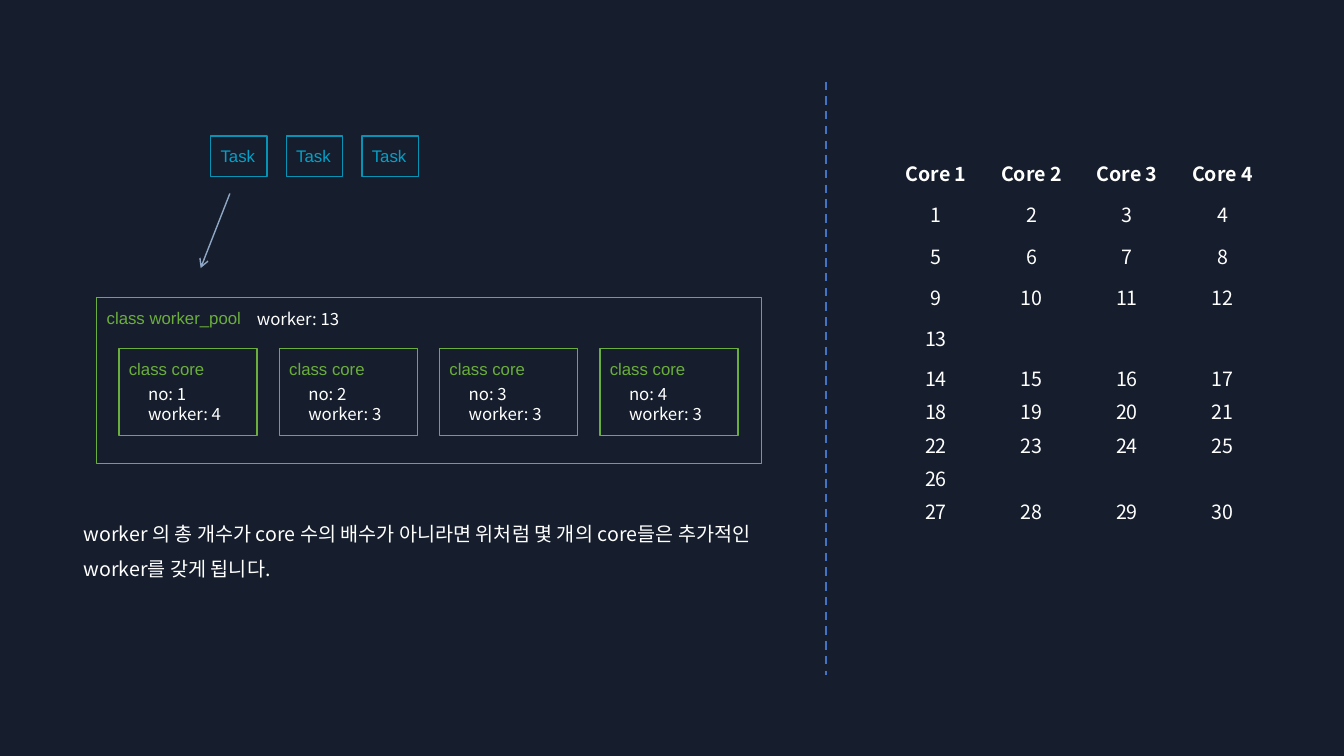
from lxml import etree
from pptx import Presentation
from pptx.dml.color import RGBColor
from pptx.enum import dml, shapes, text
from pptx.oxml.ns import qn
from pptx.util import Inches, Pt

NAVY = RGBColor(0x16, 0x1E, 0x2D)
GREEN = RGBColor(0x6B, 0xAE, 0x3D)
TASK_LINE = RGBColor(0x07, 0x92, 0xB6)
TASK_TEXT = RGBColor(0x04, 0xA0, 0xC7)
ARROW = RGBColor(0x8F, 0xA7, 0xC4)
DIVIDER = RGBColor(0x44, 0x72, 0xC4)
WHITE = RGBColor(0xFF, 0xFF, 0xFF)
LABEL_FONT = "Arial"
BODY_FONT = "Noto Sans CJK KR"
NO_GRID_STYLE = "{2D5ABB26-0587-4C30-8999-92F81FD0307C}"

CORE_COUNT = 4
WORKER_COUNT = 13
LAST_WORKER = 30


def add_run(paragraph, words, size, color, font=BODY_FONT, bold=False):
    run = paragraph.add_run()
    run.text = words
    run.font.size = Pt(size)
    run.font.name = font
    run.font.bold = bold
    run.font.color.rgb = color
    east_asian = etree.SubElement(run._r.get_or_add_rPr(), qn("a:ea"))
    east_asian.set("typeface", font)


def labelled_box(parent, label, left, top, width, height, line, color):
    box = parent.add_shape(shapes.MSO_SHAPE.RECTANGLE, Inches(left), Inches(top),
                           Inches(width), Inches(height))
    box.shadow.inherit = False
    box.fill.background()
    box.line.color.rgb = line
    box.line.width = Pt(1)
    frame = box.text_frame
    frame.margin_left = frame.margin_right = frame.margin_top = Inches(0.1)
    frame.margin_bottom = Inches(0.05)
    frame.vertical_anchor = text.MSO_ANCHOR.TOP
    frame.word_wrap = True
    frame.paragraphs[0].alignment = text.PP_ALIGN.LEFT
    add_run(frame.paragraphs[0], label, 12, color, LABEL_FONT)


def note(parent, lines, left, top, width, height):
    frame = parent.add_textbox(Inches(left), Inches(top),
                               Inches(width), Inches(height)).text_frame
    frame.word_wrap = True
    for i, words in enumerate(lines):
        paragraph = frame.add_paragraph() if i else frame.paragraphs[0]
        add_run(paragraph, words, 12, WHITE)


def straight_line(slide, start, end, color, width):
    line = slide.shapes.add_connector(
        shapes.MSO_CONNECTOR.STRAIGHT, *map(Inches, start + end))
    line.line.color.rgb = color
    line.line.width = Pt(width)
    etree.SubElement(line._element.spPr, qn("a:effectLst"))
    return line


def task_queue(slide, left, top):
    for i in range(3):
        labelled_box(slide.shapes, "Task", left + 0.75 * i, top, 0.56, 0.4,
                     TASK_LINE, TASK_TEXT)
    # Arrow from the tasks to the pool
    arrow = straight_line(slide, (left + 0.19, top + 0.57),
                          (left - 0.1, top + 1.31), ARROW, 1)
    etree.SubElement(arrow.line._get_or_add_ln(), qn("a:tailEnd")).set("type", "arrow")


def worker_pool(slide, left, top, width, height):
    labelled_box(slide.shapes, "class worker_pool", left, top, width, height, GREEN, GREEN)
    note(slide.shapes, [f"worker: {WORKER_COUNT}"], left + 1.49, top + 0.06, 1.11, 0.3)
    # One group per core; the first cores take the remainder
    share, extra = divmod(WORKER_COUNT, CORE_COUNT)
    for i in range(CORE_COUNT):
        core = slide.shapes.add_group_shape().shapes
        core_left, core_top = left + 0.22 + 1.59 * i, top + 0.51
        labelled_box(core, "class core", core_left, core_top, 1.37, 0.86, GREEN, GREEN)
        note(core, [f"no: {i + 1}", f"worker: {share + (i < extra)}"],
             core_left + 0.19, core_top + 0.3, 1.11, 0.5)


def explanation(slide, left, top, width, height):
    body = slide.placeholders[1]
    body.left, body.top = Inches(left), Inches(top)
    body.width, body.height = Inches(width), Inches(height)
    frame = body.text_frame
    frame.auto_size = text.MSO_AUTO_SIZE.NONE
    frame.word_wrap = True
    lines = ["worker 의 총 개수가 core 수의 배수가 아니라면 위처럼 몇 개의 core들은 추가적인",
             "worker를 갖게 됩니다."]
    for i, words in enumerate(lines):
        paragraph = frame.add_paragraph() if i else frame.paragraphs[0]
        properties = paragraph._p.get_or_add_pPr()
        properties.set("marL", "0")
        properties.set("indent", "0")
        etree.SubElement(properties, qn("a:buNone"))
        paragraph.line_spacing = 0.9
        paragraph.space_before = Pt(10 if i else 0)
        add_run(paragraph, words, 14, WHITE)


def schedule_rows():
    """Each round of workers fills the cores, the last row holding the remainder."""
    rows = [[f"Core {i + 1}" for i in range(CORE_COUNT)]]
    for first in range(1, LAST_WORKER + 1, WORKER_COUNT):
        last = min(first + WORKER_COUNT - 1, LAST_WORKER)
        for start in range(first, last + 1, CORE_COUNT):
            rows.append([str(n) if n <= last else ""
                         for n in range(start, start + CORE_COUNT)])
    return rows


def core_schedule(slide, left, top, width, height):
    rows = schedule_rows()
    table = slide.shapes.add_table(len(rows), CORE_COUNT, Inches(left), Inches(top),
                                   Inches(width), Inches(height)).table
    table.first_row = table.horz_banding = False
    table._tbl.tblPr.find(qn("a:tableStyleId")).text = NO_GRID_STYLE
    for r, values in enumerate(rows):
        first_round = r < 5
        table.rows[r].height = Inches(0.41 if first_round else 0.33)
        for c, value in enumerate(values):
            cell = table.cell(r, c)
            cell.fill.background()
            cell.vertical_anchor = text.MSO_ANCHOR.MIDDLE
            cell.margin_top = Inches(0 if first_round else 0.05)
            cell.margin_bottom = 0
            paragraph = cell.text_frame.paragraphs[0]
            paragraph.alignment = text.PP_ALIGN.CENTER
            if value:
                add_run(paragraph, value, 14, WHITE, bold=r == 0)
            else:
                etree.SubElement(paragraph._p, qn("a:endParaRPr")).set("sz", "1400")


def main():
    deck = Presentation()
    deck.slide_width, deck.slide_height = Inches(13.33), Inches(7.5)
    slide = deck.slides.add_slide(deck.slide_layouts[1])
    slide.background.fill.solid()
    slide.background.fill.fore_color.rgb = NAVY
    unused_title = slide.shapes.title._element
    unused_title.getparent().remove(unused_title)

    worker_pool(slide, 0.96, 2.95, 6.59, 1.65)
    task_queue(slide, 2.09, 1.35)
    explanation(slide, 0.73, 5.15, 9.18, 0.75)
    # Divider between the diagram and the schedule
    divider = straight_line(slide, (8.19, 0.81), (8.19, 6.7), DIVIDER, 1.5)
    divider.line.dash_style = dml.MSO_LINE.DASH
    core_schedule(slide, 8.81, 1.51, 3.79, 3.69)
    deck.save("out.pptx")


if __name__ == "__main__":
    main()
